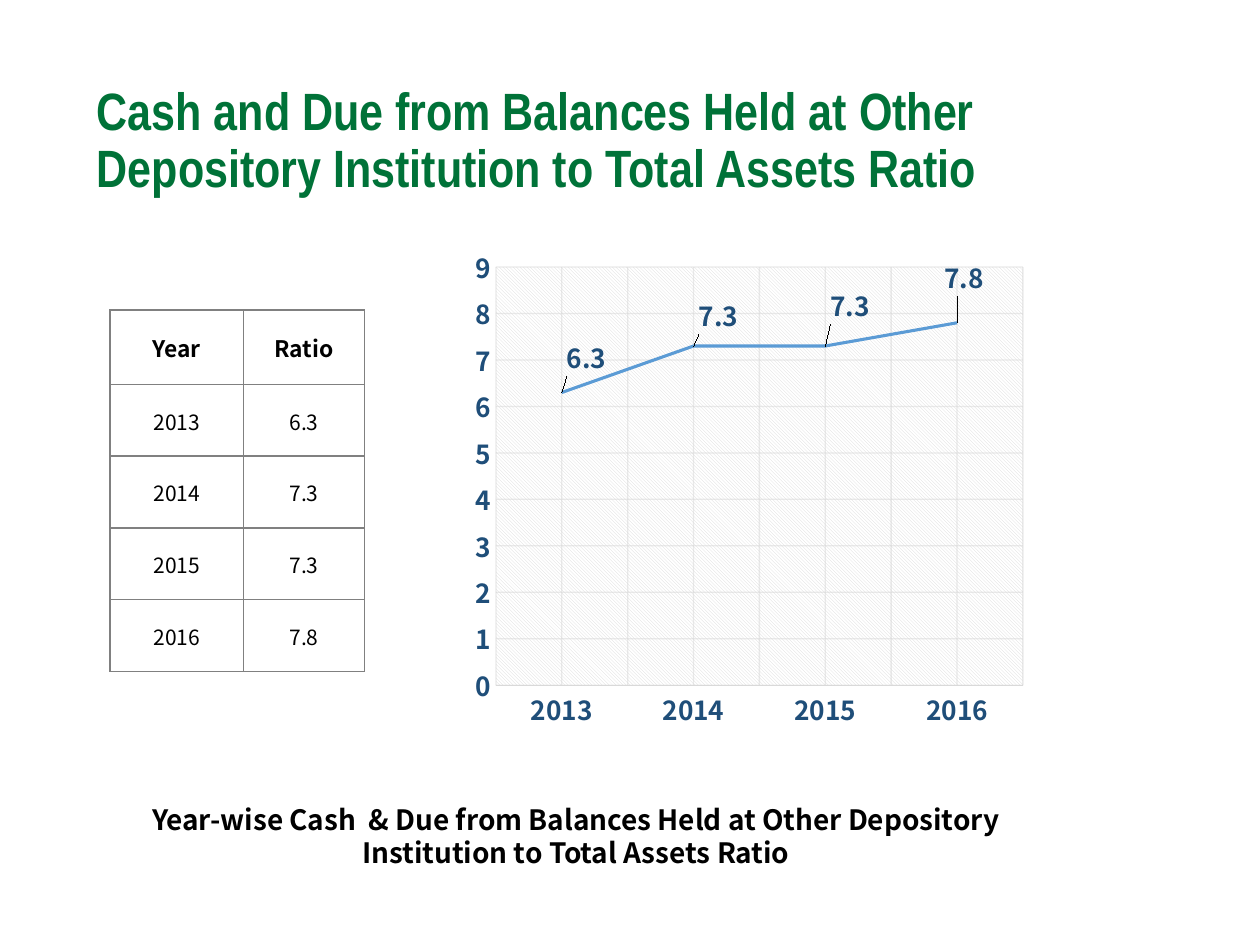
from copy import deepcopy

from lxml import etree
from pptx import Presentation
from pptx.chart.data import CategoryChartData
from pptx.dml.color import RGBColor
from pptx.enum.chart import XL_CHART_TYPE, XL_LABEL_POSITION, XL_MARKER_STYLE, XL_TICK_MARK
from pptx.enum.text import MSO_ANCHOR, MSO_AUTO_SIZE, PP_ALIGN
from pptx.oxml import parse_xml
from pptx.util import Pt

LINE, RIGHT, NO_MARKER = XL_CHART_TYPE.LINE, XL_LABEL_POSITION.RIGHT, XL_MARKER_STYLE.NONE
NO_TICK, MIDDLE = XL_TICK_MARK.NONE, MSO_ANCHOR.MIDDLE
NO_FIT = MSO_AUTO_SIZE.NONE
LEFT, CENTER = PP_ALIGN.LEFT, PP_ALIGN.CENTER

TITLE = "Cash and Due from Balances Held at Other Depository Institution to Total Assets Ratio"
CAPTION = "Year-wise Cash  & Due from Balances Held at Other Depository Institution to Total Assets Ratio"
HEADER = ("Year", "Ratio")
RATIOS = [("2013", 6.3), ("2014", 7.3), ("2015", 7.3), ("2016", 7.8)]
LABEL_SHIFTS = [(0, -0.07), (0, -0.06), (0, -0.08), (-0.03, -0.09)]

TITLE_FONT, BODY_FONT = "Arial Narrow", "Noto Sans CJK JP"
GREEN, BLACK, NAVY, BLUE = "007238", "000000", "1F4E79", "5B9BD5"
GRID, BORDER, WHITE = "D9D9D9", "808080", "FFFFFF"
COLUMN_WIDTHS, HEADER_HEIGHT, ROW_HEIGHT = (76.3, 69.1), 42.5, 41

A = "http://schemas.openxmlformats.org/drawingml/2006/main"
C = "http://schemas.openxmlformats.org/drawingml/2006/chart"


def color(value):
    return RGBColor.from_string(value)


def style_font(font, size, value, name=BODY_FONT, bold=True):
    font.size, font.bold, font.name = Pt(size), bold, name
    font.color.rgb = color(value)


def style_line(line, value, width):
    line.color.rgb = color(value)
    line.width = Pt(width)


def write(frame, text, size, value, align, name=BODY_FONT, bold=True):
    frame.text = text
    para = frame.paragraphs[0]
    para.alignment = align
    style_font(para.runs[0].font, size, value, name, bold)
    return para


def manual_layout(settings):
    parts = "".join(f'<c:{tag} val="{value}"/>' for tag, value in settings)
    return parse_xml(f'<c:layout xmlns:c="{C}"><c:manualLayout>{parts}</c:manualLayout></c:layout>')


def add_title(page):
    title = page.shapes.title
    title.left, title.top, title.width, title.height = Pt(48.2), Pt(28.8), Pt(620.6), Pt(104.4)
    frame = title.text_frame
    frame.auto_size, frame.vertical_anchor = NO_FIT, MIDDLE
    write(frame, TITLE, 30, GREEN, LEFT, TITLE_FONT).line_spacing = 0.9


def add_caption(page):
    box = page.shapes.add_textbox(Pt(63.4), Pt(455), Pt(531.4), Pt(46.1))
    box.text_frame.word_wrap = True
    write(box.text_frame, CAPTION, 16, BLACK, CENTER)


def add_borders(cell):
    properties = cell._tc.get_or_add_tcPr()
    for index, side in enumerate(("lnL", "lnR", "lnT", "lnB")):
        properties.insert(index, parse_xml(
            f'<a:{side} xmlns:a="{A}" w="12700"><a:solidFill>'
            f'<a:srgbClr val="{BORDER}"/></a:solidFill></a:{side}>'))


def add_ratio_table(page):
    rows = [HEADER] + RATIOS
    height = HEADER_HEIGHT + ROW_HEIGHT * len(RATIOS)
    table = page.shapes.add_table(len(rows), len(HEADER), Pt(62.9), Pt(177.2),
                                  Pt(sum(COLUMN_WIDTHS)), Pt(height)).table
    for column, width in zip(table.columns, COLUMN_WIDTHS):
        column.width = Pt(width)
    for row_index, values in enumerate(rows):
        is_header = row_index == 0
        table.rows[row_index].height = Pt(HEADER_HEIGHT if is_header else ROW_HEIGHT)
        for column_index, value in enumerate(values):
            cell = table.cell(row_index, column_index)
            cell.margin_left = cell.margin_right = cell.margin_top = Pt(0.7)
            cell.margin_bottom = 0
            cell.vertical_anchor = MIDDLE
            cell.fill.background()
            write(cell.text_frame, str(value), 13 if is_header else 12, BLACK, CENTER, bold=is_header)
            add_borders(cell)


def style_axis(axis):
    axis.major_tick_mark = axis.minor_tick_mark = NO_TICK
    style_font(axis.tick_labels.font, 15, NAVY)
    axis.has_major_gridlines = True
    style_line(axis.major_gridlines.format.line, GRID, 0.75)
    for node in axis._element.find(f"{{{C}}}majorGridlines").iter(f"{{{A}}}srgbClr"):
        etree.SubElement(node, f"{{{A}}}alpha", val="54000")


def add_minor_grid(axis):
    axis.has_minor_gridlines = True
    major, minor = (axis._element.find(f"{{{C}}}{level}Gridlines") for level in ("major", "minor"))
    minor.append(deepcopy(major[0]))


def style_plot_area(chart):
    area = chart._chartSpace.chart.plotArea
    for layout in area.findall(f"{{{C}}}layout"):
        area.remove(layout)
    area.insert(0, manual_layout([
        ("layoutTarget", "inner"), ("xMode", "edge"), ("yMode", "edge"),
        ("x", 0.08), ("y", 0.04), ("w", 0.89), ("h", 0.83)]))
    area.append(parse_xml(
        f'<c:spPr xmlns:c="{C}" xmlns:a="{A}"><a:pattFill prst="ltDnDiag">'
        f'<a:fgClr><a:srgbClr val="{GRID}"/></a:fgClr><a:bgClr><a:srgbClr val="{WHITE}"/></a:bgClr>'
        '</a:pattFill><a:ln><a:noFill/></a:ln></c:spPr>'))


def add_ratio_chart(page):
    data = CategoryChartData()
    data.categories = [year for year, ratio in RATIOS]
    data.add_series("Series 1", [ratio for year, ratio in RATIOS])
    chart = page.shapes.add_chart(LINE, Pt(256.3), Pt(141.1), Pt(338.4), Pt(288), data).chart
    chart.has_legend = chart.has_title = False
    style_font(chart.font, 15, NAVY)
    years, values = chart.category_axis, chart.value_axis
    for axis in (years, values):
        style_axis(axis)
    add_minor_grid(years)
    style_line(years.format.line, GRID, 0.75)
    values.format.line.fill.background()
    values.minimum_scale, values.maximum_scale, values.major_unit = 0, 9, 1
    chart.plots[0].vary_by_categories = False
    series = chart.plots[0].series[0]
    series.smooth = False
    series.marker.style = NO_MARKER
    style_line(series.format.line, BLUE, 1.75)
    for index in range(len(RATIOS)):
        label = series.points[index].data_label
        style_font(label.font, 15, NAVY)
        label.position = RIGHT
    for node, shift in zip(series._element.iter(f"{{{C}}}dLbl"), LABEL_SHIFTS):
        node.insert(1, manual_layout(zip("xy", shift)))
    style_plot_area(chart)


def main():
    """Build the slide on cash and due balances to total assets."""
    deck = Presentation()
    deck.slide_width, deck.slide_height = Pt(720), Pt(540)
    page = deck.slides.add_slide(deck.slide_layouts[5])
    add_title(page)
    add_ratio_chart(page)
    add_caption(page)
    add_ratio_table(page)
    deck.save("out.pptx")


if __name__ == "__main__":
    main()
